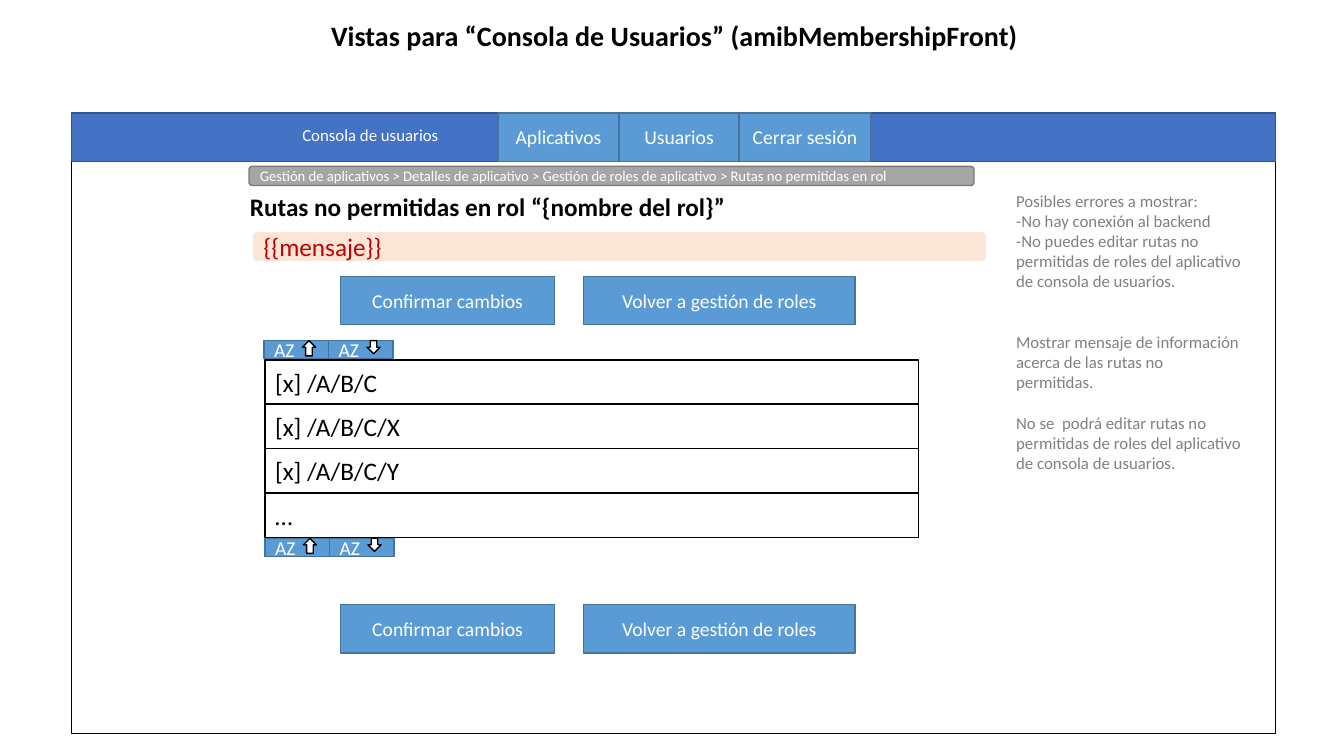
from dataclasses import dataclass

from pptx import Presentation
from pptx.dml.color import RGBColor
from pptx.enum.shapes import MSO_SHAPE as Shape
from pptx.enum.text import MSO_ANCHOR as Anchor, PP_ALIGN as Align
from pptx.util import Emu, Pt

EMU_PER_PX = 9144  # 100 px to the inch


@dataclass(frozen=True)
class Theme:
    font: str = "Calibri"
    white: str = "FFFFFF"
    black: str = "000000"
    bar: str = "4472C4"
    bar_edge: str = "325491"
    button: str = "5B9BD5"
    button_edge: str = "43739E"
    crumb: str = "A5A5A5"
    crumb_edge: str = "7A7A7A"
    alert: str = "FBE5D6"
    alert_text: str = "C00000"
    note: str = "808080"
    title_size: float = 20
    body_size: float = 18
    button_size: float = 14
    note_size: float = 12
    crumb_size: float = 10.5


def px(value):
    return Emu(value * EMU_PER_PX)


def write(frame, text, *, size, color, font, bold=False, align=Align.LEFT,
          anchor=Anchor.TOP, line_spacing=None, gaps=None):
    """Fill a frame, one paragraph per line; gaps maps line index to space before."""
    frame.word_wrap = True
    frame.vertical_anchor = anchor
    for index, line in enumerate(text.split("\n")):
        paragraph = frame.paragraphs[0] if index == 0 else frame.add_paragraph()
        paragraph.alignment = align
        if line_spacing:
            paragraph.line_spacing = line_spacing
        if gaps and index in gaps:
            paragraph.space_before = Pt(gaps[index])
        run = paragraph.add_run()
        run.text = line
        run.font.name = font
        run.font.size = Pt(size)
        run.font.bold = bold
        run.font.color.rgb = RGBColor.from_string(color)


class Mockup:
    def __init__(self, slide, theme):
        self.slide = slide
        self.theme = theme

    def box(self, x, y, w, h, fill, edge, kind=Shape.RECTANGLE, weight=1):
        shape = self.slide.shapes.add_shape(kind, px(x), px(y), px(w), px(h))
        shape.shadow.inherit = False
        shape.fill.solid()
        shape.fill.fore_color.rgb = RGBColor.from_string(fill)
        shape.line.color.rgb = RGBColor.from_string(edge)
        shape.line.width = Pt(weight)
        return shape

    def label(self, x, y, w, h, text, **style):
        area = self.slide.shapes.add_textbox(px(x), px(y), px(w), px(h))
        write(area.text_frame, text, font=self.theme.font, **style)

    def panel(self, x, y, w, h, text, fill, edge, size, color,
              kind=Shape.RECTANGLE, weight=1, align=Align.LEFT):
        shape = self.box(x, y, w, h, fill, edge, kind, weight)
        write(shape.text_frame, text, font=self.theme.font, size=size,
              color=color, align=align, anchor=Anchor.MIDDLE)

    def button(self, x, y, w, h, text, align=Align.CENTER):
        t = self.theme
        self.panel(x, y, w, h, text, t.button, t.button_edge,
                   t.button_size, t.white, align=align)

    def sort_controls(self, x, y):
        t = self.theme
        for offset, arrow, height in ((0, Shape.UP_ARROW, 15), (64, Shape.DOWN_ARROW, 13)):
            self.button(x + offset, y, 64, 18, "AZ", align=Align.LEFT)
            self.box(x + offset + 38, y, 13, height, t.white, t.black, arrow)

    def action_buttons(self, y):
        self.button(338, y, 212, 48, "Confirmar cambios")
        self.button(579, y, 269, 48, "Volver a gestión de roles")


def main():
    deck = Presentation()
    deck.slide_width, deck.slide_height = px(1333), px(750)
    theme = Theme()
    view = Mockup(deck.slides.add_slide(deck.slide_layouts[6]), theme)

    # Page frame and navigation bar
    view.box(71, 113, 1194, 615, theme.white, theme.black)
    view.box(71, 112, 1194, 48, theme.bar, theme.bar_edge)
    view.label(290, 119, 192, 30, "Consola de usuarios",
               size=theme.note_size, color=theme.white)
    tab_left = 494
    for tab, width in (("Aplicativos", 120), ("Usuarios", 119), ("Cerrar sesión", 131)):
        view.button(tab_left, 112, width, 48, tab)
        tab_left += width

    # Heading, breadcrumb and message
    view.label(238, 185, 867, 40, "Rutas no permitidas en rol “{nombre del rol}”",
               size=theme.body_size, color=theme.black, bold=True)
    view.panel(247, 165, 719, 19,
               "Gestión de aplicativos > Detalles de aplicativo > "
               "Gestión de roles de aplicativo > Rutas no permitidas en rol",
               theme.crumb, theme.crumb_edge, theme.crumb_size, theme.white,
               kind=Shape.ROUNDED_RECTANGLE)
    view.panel(250, 229, 729, 31, "{{mensaje}}", theme.alert, theme.white,
               theme.body_size, theme.alert_text,
               kind=Shape.ROUNDED_RECTANGLE, weight=1.5)

    # Route list between its sort controls
    view.sort_controls(262, 338)
    row_height = 44
    routes = ("[x] /A/B/C", "[x] /A/B/C/X", "[x] /A/B/C/Y", "…")
    for index, route in enumerate(routes):
        view.panel(263, 357 + index * row_height, 648, row_height, route,
                   theme.white, theme.black, theme.body_size, theme.black)
    view.sort_controls(263, 534)

    # Action buttons above and below the list
    for top in (274, 600):
        view.action_buttons(top)

    # Side notes
    view.label(998, 184, 245, 333,
               "Posibles errores a mostrar:\n"
               "-No hay conexión al backend\n"
               "-No puedes editar rutas no permitidas de roles del aplicativo "
               "de consola de usuarios.\n"
               "Mostrar mensaje de información acerca de las rutas no permitidas.\n"
               "No se  podrá editar rutas no permitidas de roles del aplicativo "
               "de consola de usuarios.",
               size=theme.note_size, color=theme.note, gaps={3: 29, 4: 14.5})

    # Slide title
    view.label(169, 17, 1000, 40,
               "Vistas para “Consola de Usuarios” (amibMembershipFront)",
               size=theme.title_size, color=theme.black, bold=True,
               align=Align.CENTER, line_spacing=0.9)

    deck.save("out.pptx")


if __name__ == "__main__":
    main()
